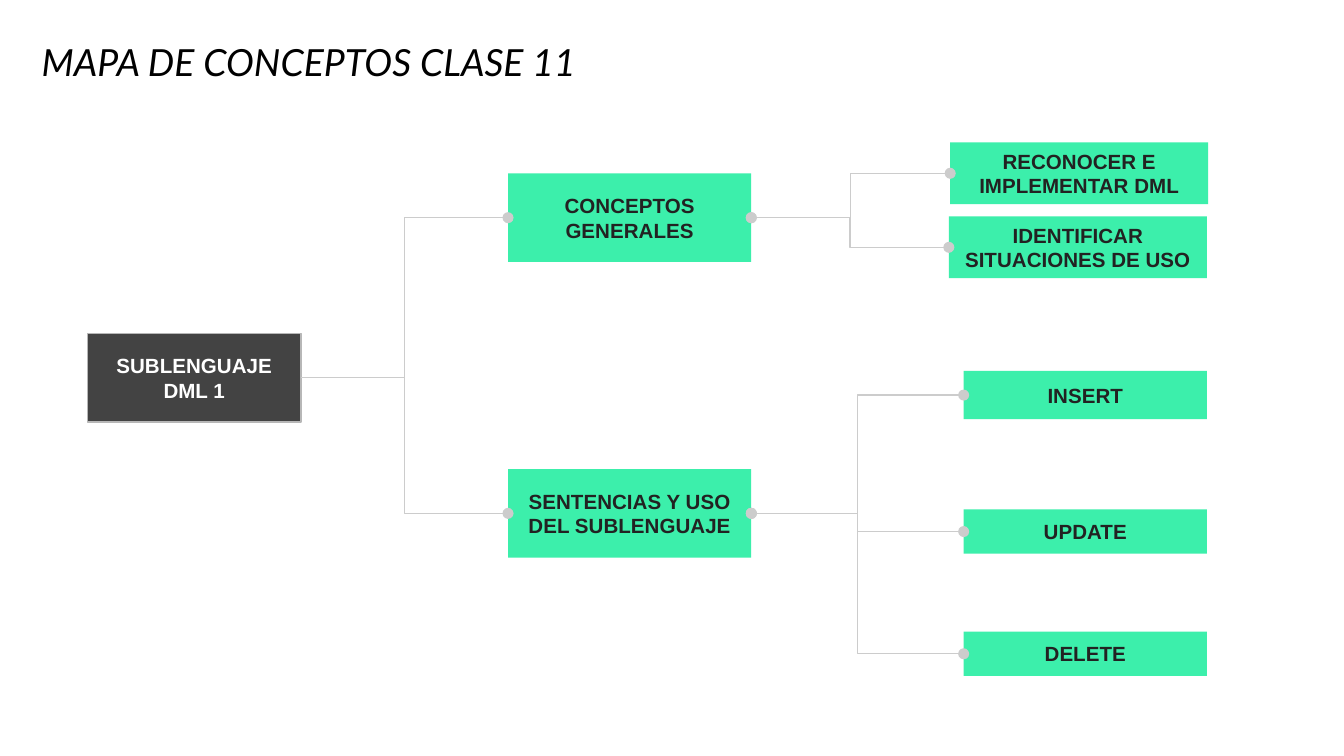
import pptx
import pptx.util
import pptx.dml.color
import pptx.enum.shapes
import pptx.enum.text
import pptx.oxml.ns
import lxml.etree

Inches, Pt = pptx.util.Inches, pptx.util.Pt
RGB = pptx.dml.color.RGBColor
Text = pptx.enum.text

GREEN = RGB(0x3C, 0xEF, 0xAB)
DARK = RGB(0x43, 0x43, 0x43)
INK = RGB(0x22, 0x22, 0x22)
WHITE = RGB(0xFF, 0xFF, 0xFF)
BLACK = RGB(0, 0, 0)
EDGE = RGB(0xB7, 0xB7, 0xB7)
WIRE = RGB(0xCC, 0xCC, 0xCC)

TITLE = "MAPA DE CONCEPTOS CLASE 11"
ROOT = "SUBLENGUAJE DML 1"

# text: (left, top, width, height)
NODES = {
    ROOT: (0.65, 2.48, 1.59, 0.66),
    "CONCEPTOS GENERALES": (3.78, 1.29, 1.81, 0.66),
    "SENTENCIAS Y USO DEL SUBLENGUAJE": (3.78, 3.49, 1.81, 0.66),
    "RECONOCER E IMPLEMENTAR DML": (7.07, 1.06, 1.92, 0.46),
    "IDENTIFICAR SITUACIONES DE USO": (7.06, 1.61, 1.92, 0.46),
    "INSERT": (7.17, 2.76, 1.81, 0.36),
    "UPDATE": (7.17, 3.79, 1.81, 0.33),
    "DELETE": (7.17, 4.7, 1.81, 0.33),
}
TREE = {
    ROOT: ["CONCEPTOS GENERALES", "SENTENCIAS Y USO DEL SUBLENGUAJE"],
    "CONCEPTOS GENERALES": ["RECONOCER E IMPLEMENTAR DML",
                            "IDENTIFICAR SITUACIONES DE USO"],
    "SENTENCIAS Y USO DEL SUBLENGUAJE": ["INSERT", "UPDATE", "DELETE"],
}
LEFT, RIGHT = 1, 3  # connection sites of a rectangle


def style(frame, size, name, color, bold=False, italic=False):
    for run in frame.paragraphs[0].runs:
        font = run.font
        font.size, font.name = Pt(size), name
        font.bold, font.italic = bold, italic
        font.color.rgb = color


def add_title(slide):
    title = slide.shapes.title
    title.left, title.top = Inches(0.21), Inches(0.22)
    title.width, title.height = Inches(8.26), Inches(0.46)
    frame = title.text_frame
    frame.text = TITLE
    frame.auto_size = Text.MSO_AUTO_SIZE.NONE
    frame.vertical_anchor = Text.MSO_ANCHOR.BOTTOM
    frame.paragraphs[0].alignment = Text.PP_ALIGN.LEFT
    frame.paragraphs[0].line_spacing = 0.9
    style(frame, 20, "Lato", BLACK, italic=True)


def add_node(slide, text, place):
    root = text == ROOT
    node = slide.shapes.add_shape(pptx.enum.shapes.MSO_SHAPE.RECTANGLE,
                                  *map(Inches, place))
    node.shadow.inherit = False
    node.fill.solid()
    node.fill.fore_color.rgb = DARK if root else GREEN
    if root:
        node.line.color.rgb = EDGE
        node.line.width = Pt(0.75)
    else:
        node.line.fill.background()
    frame = node.text_frame
    frame.text = text
    frame.word_wrap = True
    frame.vertical_anchor = Text.MSO_ANCHOR.MIDDLE
    frame.margin_left = frame.margin_right = Inches(0.1)
    frame.margin_top = frame.margin_bottom = Inches(0.1)
    frame.paragraphs[0].alignment = Text.PP_ALIGN.CENTER
    style(frame, 11, "Arial", WHITE if root else INK, bold=True)
    return node


def add_wire(slide, start, end, ends):
    """Join two nodes by an elbow line with dots at the given ends."""
    wire = slide.shapes.add_connector(
        pptx.enum.shapes.MSO_CONNECTOR.ELBOW, 0, 0, 0, 0)
    wire.begin_connect(start, RIGHT)
    wire.end_connect(end, LEFT)
    wire.line.color.rgb = WIRE
    wire.line.width = Pt(0.75)
    qn = pptx.oxml.ns.qn
    props = wire.element.spPr
    line = props.find(qn("a:ln"))
    for tag in ends:
        lxml.etree.SubElement(line, qn(tag)).set("type", "oval")
    lxml.etree.SubElement(props, qn("a:effectLst"))


def main():
    deck = pptx.Presentation()
    deck.slide_width = Inches(10)
    deck.slide_height = deck.slide_width * 9 // 16
    slide = deck.slides.add_slide(deck.slide_layouts[0])
    sub = slide.placeholders[1].element
    sub.getparent().remove(sub)

    add_title(slide)
    nodes = {text: add_node(slide, text, place)
             for text, place in NODES.items()}
    for start, kids in TREE.items():
        ends = ["a:tailEnd"] if start == ROOT else ["a:headEnd", "a:tailEnd"]
        for kid in kids:
            add_wire(slide, nodes[start], nodes[kid], ends)
    deck.save("out.pptx")


if __name__ == "__main__":
    main()
